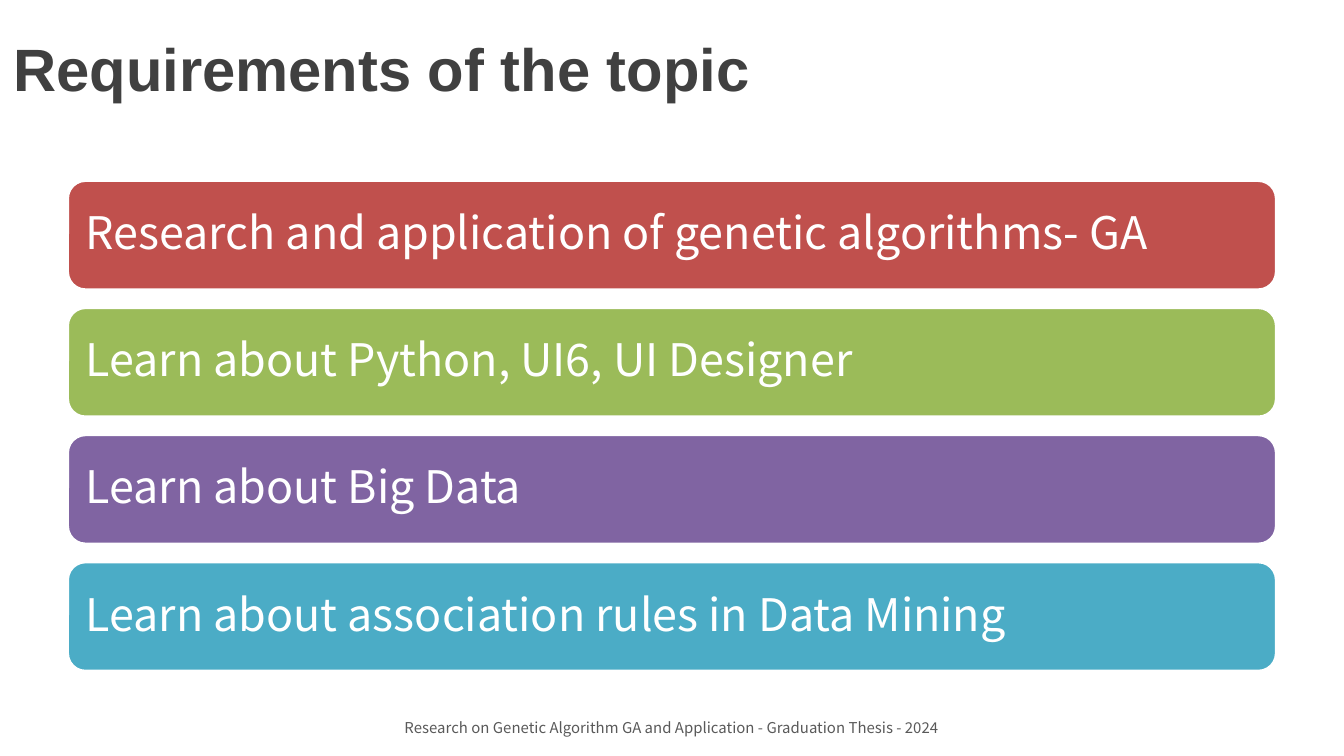
from pptx import Presentation
from pptx.dml.color import RGBColor
from pptx.enum.shapes import MSO_SHAPE
from pptx.enum.text import MSO_ANCHOR, PP_ALIGN
from pptx.util import Pt

WHITE = RGBColor(0xFF, 0xFF, 0xFF)
DARK_GRAY = RGBColor(0x40, 0x40, 0x40)
MID_GRAY = RGBColor(0x59, 0x59, 0x59)
RED = RGBColor(0xC0, 0x50, 0x4D)
GREEN = RGBColor(0x9B, 0xBB, 0x59)
PURPLE = RGBColor(0x80, 0x64, 0xA2)
TEAL = RGBColor(0x4B, 0xAC, 0xC6)
BODY_FONT = "Noto Sans CJK KR"


def write_text(shape, text, size, color, font=BODY_FONT, bold=False,
               align=PP_ALIGN.LEFT, anchor=MSO_ANCHOR.MIDDLE,
               line_spacing=1.0, space_after=0):
    frame = shape.text_frame
    frame.word_wrap = True
    frame.vertical_anchor = anchor
    paragraph = frame.paragraphs[0]
    paragraph.alignment = align
    paragraph.line_spacing = line_spacing
    paragraph.space_after = Pt(space_after)
    run = paragraph.add_run()
    run.text = text
    run.font.name = font
    run.font.size = Pt(size)
    run.font.bold = bold
    run.font.color.rgb = color
    return frame


prs = Presentation()
prs.slide_width = Pt(720)
prs.slide_height = Pt(405)
slide = prs.slides.add_slide(prs.slide_layouts[6])

title = slide.shapes.add_textbox(Pt(0), Pt(2), Pt(720), Pt(68))
write_text(title, "Requirements of the topic", size=32, color=DARK_GRAY,
           font="Arial", bold=True)

requirements = [
    ("Research and application of genetic algorithms- GA", RED),
    ("Learn about Python, UI6, UI Designer", GREEN),
    ("Learn about Big Data", PURPLE),
    ("Learn about association rules in Data Mining", TEAL),
]
first_top, bar_height, bar_pitch = 96.5, 59, 68.1

for index, (requirement, color) in enumerate(requirements):
    bar = slide.shapes.add_shape(
        MSO_SHAPE.ROUNDED_RECTANGLE, Pt(36), Pt(first_top + index * bar_pitch),
        Pt(648), Pt(bar_height))
    bar.shadow.inherit = False
    bar.fill.solid()
    bar.fill.fore_color.rgb = color
    bar.line.color.rgb = WHITE
    bar.line.width = Pt(2)
    frame = write_text(bar, requirement, size=24, color=WHITE,
                       line_spacing=0.9, space_after=8.4)
    frame.margin_left = frame.margin_right = Pt(7.2)
    frame.margin_top = frame.margin_bottom = Pt(7.2)

footer = slide.shapes.add_textbox(Pt(0), Pt(381.6), Pt(720), Pt(17))
write_text(footer,
           "Research on Genetic Algorithm GA and Application - Graduation Thesis - 2024",
           size=8, color=MID_GRAY, align=PP_ALIGN.CENTER, anchor=MSO_ANCHOR.TOP)

prs.save("out.pptx")
